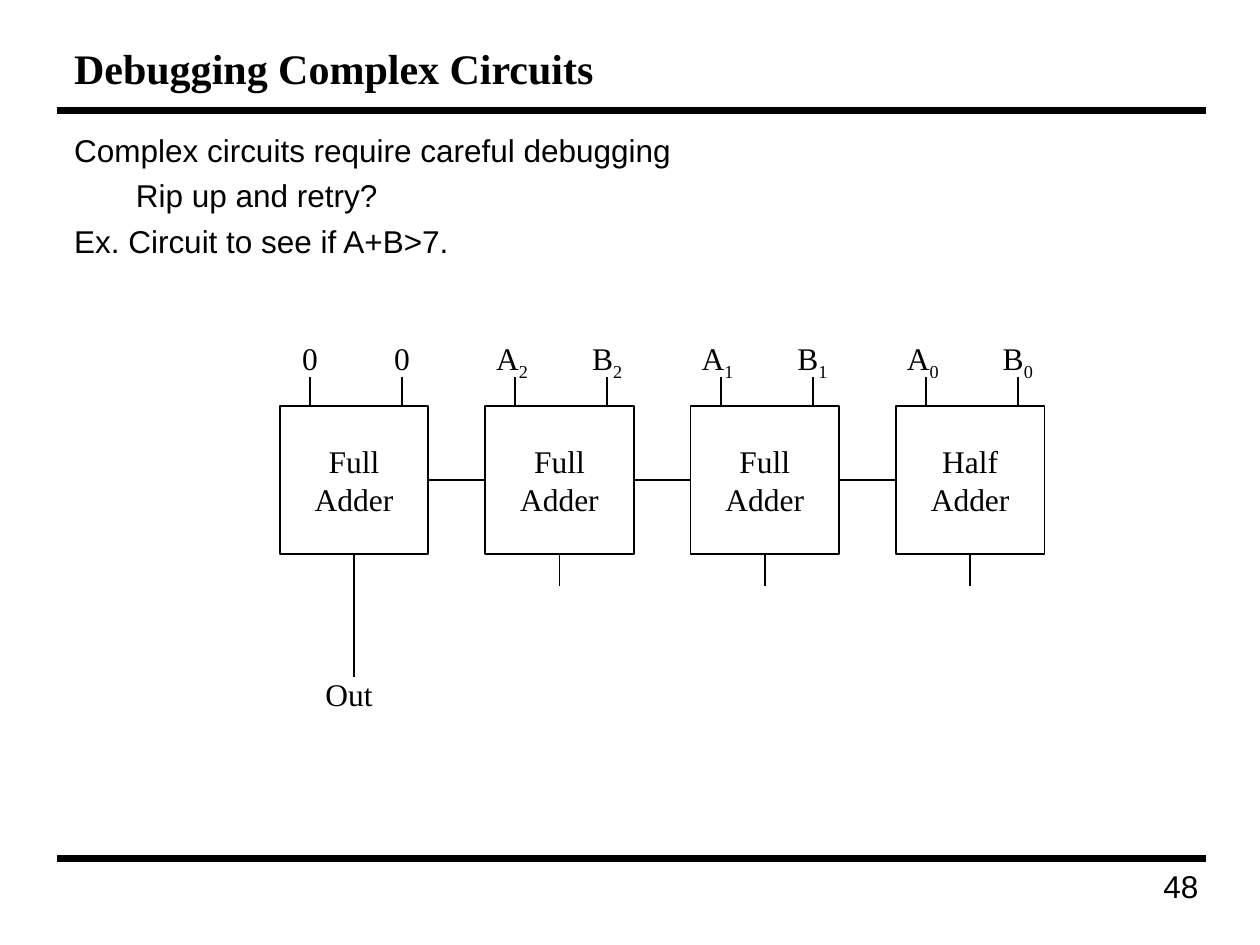
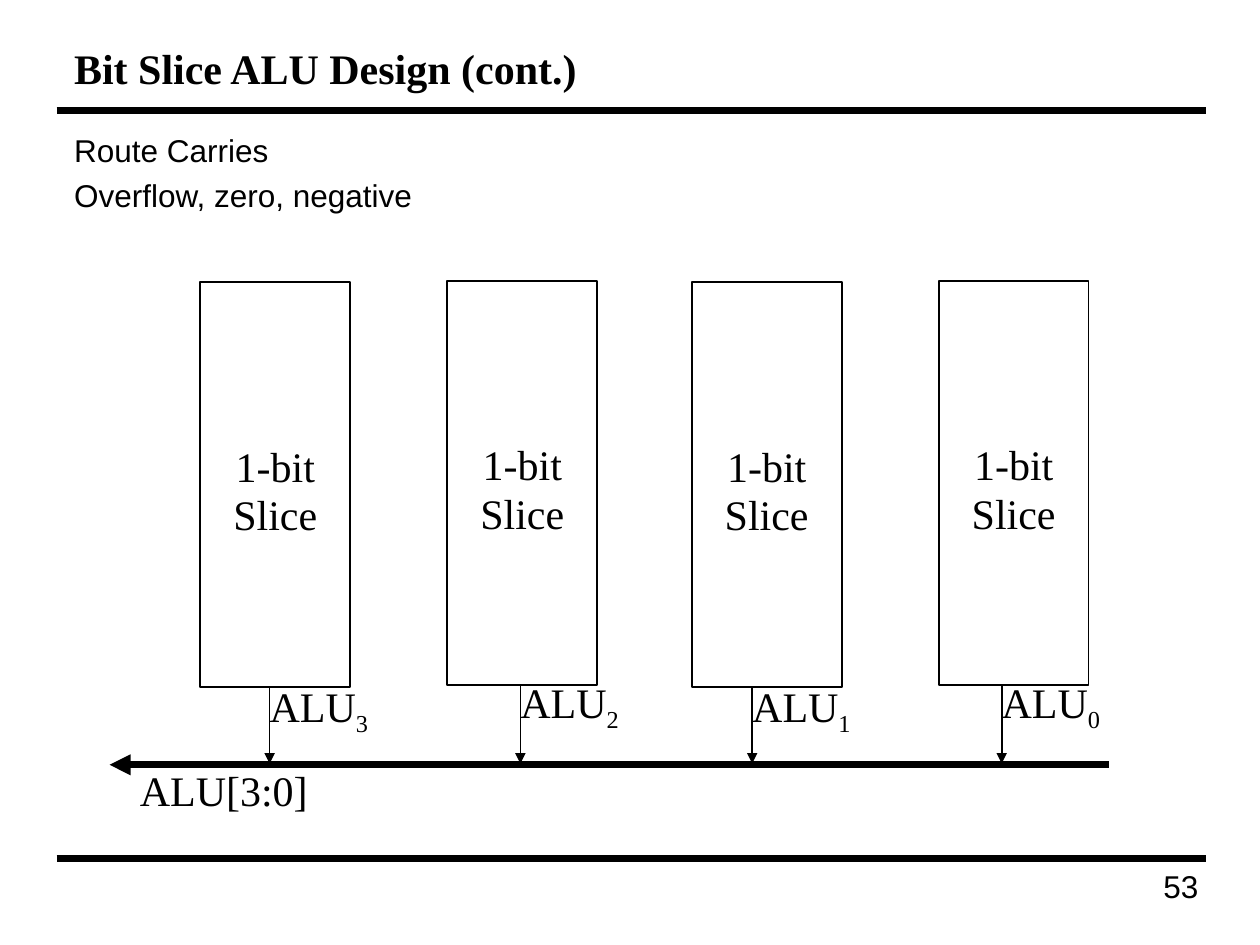
from typing import NamedTuple, Optional

from lxml.etree import SubElement
from pptx import Presentation
from pptx.dml.color import RGBColor
from pptx.enum.shapes import MSO_CONNECTOR, MSO_SHAPE
from pptx.enum.text import MSO_ANCHOR, PP_ALIGN
from pptx.oxml.ns import qn
from pptx.util import Inches, Pt

BLACK = RGBColor(0, 0, 0)
WHITE = RGBColor(255, 255, 255)
SANS, SERIF = "Arial", "Times New Roman"
TOP, LEFT, BOTTOM, RIGHT = range(4)  # connection sites of a rectangle


class Style(NamedTuple):
    font: str
    size: int
    bold: bool = False
    align: PP_ALIGN = PP_ALIGN.LEFT
    anchor: MSO_ANCHOR = MSO_ANCHOR.TOP
    wrap: bool = True
    inset: tuple[float, float] = (0.1, 0.05)
    line_points: Optional[float] = None


TITLE = Style(SERIF, 24, bold=True, anchor=MSO_ANCHOR.MIDDLE)
BODY = Style(SANS, 18)
NUMBER = Style(SANS, 18, align=PP_ALIGN.RIGHT)
ADDER = Style(SERIF, 18, align=PP_ALIGN.CENTER, anchor=MSO_ANCHOR.MIDDLE, wrap=False)
INPUT = Style(SERIF, 18, wrap=False)
OUTPUT = INPUT._replace(align=PP_ALIGN.CENTER)
BUS = Style(SERIF, 24, inset=(0.02, 0.03), line_points=27.6)
SLICE = BUS._replace(align=PP_ALIGN.CENTER)


class Adder(NamedTuple):
    kind: str
    bit: str  # empty when both inputs are tied to 0
    stub_end: float


class Slice(NamedTuple):
    bit: str
    left: float
    top: float
    arrow_x: float
    label_top: float


ADDERS = [
    Adder("Full", "", 5.37),
    Adder("Full", "2", 4.65),
    Adder("Full", "1", 4.65),
    Adder("Half", "0", 4.65),
]
SLICES = [
    Slice("3", 1.59, 2.24, 2.14, 5.44),
    Slice("2", 3.55, 2.23, 4.13, 5.41),
    Slice("1", 5.49, 2.24, 5.97, 5.44),
    Slice("0", 7.45, 2.23, 7.95, 5.41),
]


def write(shape, text: str, style: Style, subscript: str = "") -> None:
    """Fill a shape with styled text; the subscript ends the last line."""
    frame = shape.text_frame
    frame.text = text
    frame.word_wrap = style.wrap
    frame.vertical_anchor = style.anchor
    frame.margin_left = frame.margin_right = Inches(style.inset[0])
    frame.margin_top = frame.margin_bottom = Inches(style.inset[1])
    if subscript:
        span = frame.paragraphs[-1].add_run()
        span.text = subscript
        span.font._element.set("baseline", "-25000")
    for paragraph in frame.paragraphs:
        paragraph.alignment = style.align
        if style.line_points:
            paragraph.line_spacing = Pt(style.line_points)
        for span in paragraph.runs:
            span.font.name = style.font
            span.font.size = Pt(style.size)
            span.font.bold = style.bold
            span.font.color.rgb = BLACK


def add_text(page, left: float, top: float, width: float, height: float,
             text: str, style: Style, subscript: str = ""):
    box = page.shapes.add_textbox(Inches(left), Inches(top), Inches(width), Inches(height))
    write(box, text, style, subscript)
    return box


def add_box(page, left: float, top: float, width: float, height: float,
            fill: Optional[RGBColor] = None):
    box = page.shapes.add_shape(MSO_SHAPE.RECTANGLE, Inches(left), Inches(top),
                                Inches(width), Inches(height))
    box.shadow.inherit = False
    if fill is None:
        box.fill.background()
    else:
        box.fill.solid()
        box.fill.fore_color.rgb = fill
    box.line.color.rgb = BLACK
    box.line.width = Pt(1)
    return box


def add_line(page, x1: float, y1: float, x2: float, y2: float,
             width: float = 1, arrow: bool = False):
    line = page.shapes.add_connector(MSO_CONNECTOR.STRAIGHT, Inches(x1), Inches(y1),
                                     Inches(x2), Inches(y2))
    line.line.color.rgb = BLACK
    line.line.width = Pt(width)
    if arrow:
        SubElement(line.line._get_or_add_ln(), qn("a:tailEnd"), type="triangle")
    SubElement(line._element.spPr, qn("a:effectLst"))
    return line


def add_page(deck, title: str, body: list[tuple[int, str]], number: str):
    """Add a page with rules, title, body lines as (level, text), and number."""
    page = deck.slides.add_slide(deck.slide_layouts[6])
    for y in (0.88, 6.81):
        add_line(page, 0.45, y, 9.57, y, width=4)
    add_text(page, 7.56, 6.83, 2.05, 0.49, number, NUMBER)
    add_text(page, 0.49, 0.25, 9.04, 0.58, title, TITLE)
    box = add_text(page, 0.49, 0.99, 9.04, 5.76, "\n".join(text for _, text in body), BODY)
    for index, (level, _) in enumerate(body):
        paragraph = box.text_frame.paragraphs[index]
        paragraph.level = level
        margin, indent = ((0.37, -0.37), (0.8, -0.31))[level]
        properties = paragraph._p.get_or_add_pPr()
        properties.set("marL", str(Inches(margin)))
        properties.set("indent", str(Inches(indent)))
        if index:
            paragraph.space_before = Pt(4.4)
    return page


def add_adder_chain(page) -> None:
    first_left, pitch, top, side = 2.22, 1.63, 3.22, 1.18
    previous = None
    for index, adder in enumerate(ADDERS):
        left = first_left + index * pitch
        box = add_box(page, left, top, side, side, WHITE)
        write(box, f"{adder.kind}\nAdder", ADDER)

        # Inputs: offset and width of each label
        if adder.bit:
            labels = [("A", -0.01, 0.47), ("B", 0.75, 0.45)]
        else:
            labels = [("0", 0.08, 0.33), ("0", 0.81, 0.33)]
        for (name, offset, width), wire in zip(labels, (0.24, 0.97)):
            add_line(page, left + wire, top, left + wire, 2.99)
            add_text(page, left + offset, 2.64, width, 0.4, name, INPUT, adder.bit)

        # Sum output and carry
        middle = left + side / 2
        stub = add_line(page, middle, top + side, middle, adder.stub_end)
        stub.begin_connect(box, BOTTOM)
        if previous is not None:
            y = top + side / 2
            carry = add_line(page, left, y, left - pitch + side, y)
            carry.begin_connect(box, LEFT)
            carry.end_connect(previous, RIGHT)
        previous = box
    add_text(page, 2.48, 5.31, 0.58, 0.4, "Out", OUTPUT)


def add_slices(page) -> None:
    width, height, bus_y = 1.19, 3.21, 6.07
    for item in SLICES:
        add_text(page, item.left - 0.01, item.top + 1.24, 1.21, 0.9, "1-bit\nSlice", SLICE)
        add_box(page, item.left, item.top, width, height)
        add_text(page, item.arrow_x - 0.02, item.label_top, 1.23, 0.52, "ALU", BUS, item.bit)
        add_line(page, item.arrow_x, item.top + height, item.arrow_x, bus_y - 0.01, arrow=True)
    # Result bus
    add_line(page, 8.8, bus_y, 0.87, bus_y, width=4, arrow=True)
    add_text(page, 1.09, 6.05, 1.77, 0.52, "ALU[3:0]", BUS)


def main() -> None:
    deck = Presentation()
    deck.slide_width, deck.slide_height = Inches(10), Inches(7.5)

    page = add_page(deck, "Debugging Complex Circuits", [
        (0, "Complex circuits require careful debugging"),
        (1, "Rip up and retry?"),
        (0, "Ex. Circuit to see if A+B>7."),
    ], "48")
    add_adder_chain(page)

    page = add_page(deck, "Bit Slice ALU Design (cont.)", [
        (0, "Route Carries"),
        (0, "Overflow, zero, negative"),
    ], "53")
    add_slices(page)

    deck.save("out.pptx")


if __name__ == "__main__":
    main()
